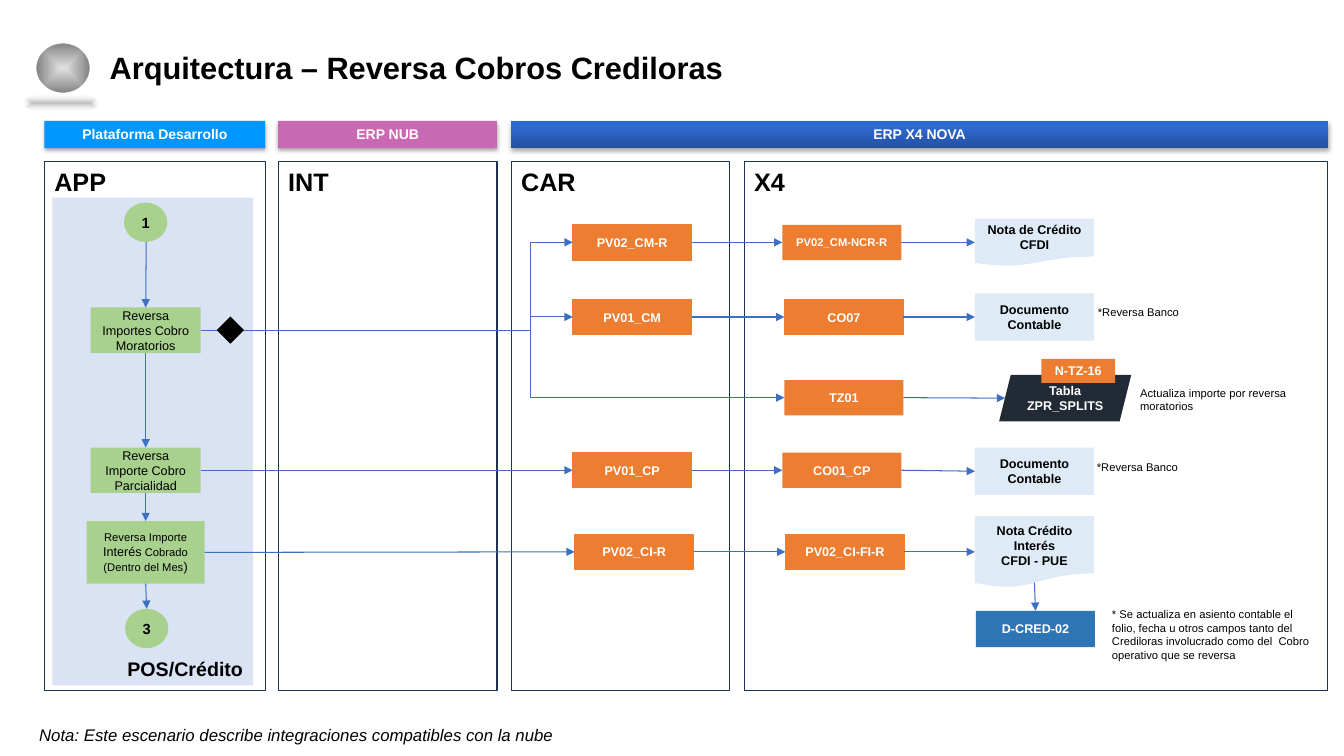
import pptx
import pptx.util
import pptx.oxml
import pptx.oxml.ns
import pptx.dml.color
import pptx.enum.shapes
import pptx.enum.text

Inches = pptx.util.Inches
Pt = pptx.util.Pt
Kind = pptx.enum.shapes.MSO_SHAPE
Link = pptx.enum.shapes.MSO_CONNECTOR
Align = pptx.enum.text.PP_ALIGN
Anchor = pptx.enum.text.MSO_ANCHOR
qn = pptx.oxml.ns.qn
SPACE = 'xmlns:a="http://schemas.openxmlformats.org/drawingml/2006/main"'

BLACK, WHITE, NAVY, BLUE = "000000", "FFFFFF", "1E3256", "3F6FC3"
GREEN, ORANGE, RIM, PALE = "A9D18E", "ED7D31", "ED7D30", "DEEBF7"
RECT, OVAL, DOC = Kind.RECTANGLE, Kind.OVAL, Kind.FLOWCHART_DOCUMENT
MID, LOW = Anchor.MIDDLE, Anchor.BOTTOM
TOP, LEFT, BOTTOM, RIGHT = range(4)

LANES = [("APP", 0.44, 2.19), ("INT", 2.76, 2.17), ("CAR", 5.07, 2.17), ("X4", 7.38, 5.79)]
HEADS = [
    ("Plataforma Desarrollo", 0.44, 2.19, "0096FF"),
    ("ERP NUB", 2.76, 2.17, "CA69B3"),
    ("ERP X4 NOVA", 5.07, 8.1, None),
]
ROWS = {"ncr": 2.41, "bank": 3.15, "split": 3.95, "part": 4.67, "int": 5.48}
TASKS = [
    ("car", "ncr", 5.68, "PV02_CM-R", 9, RIM),
    ("fi", "ncr", 7.76, "PV02_CM-NCR-R", 8, None),
    ("car", "bank", 5.68, "PV01_CM", 9, RIM),
    ("fi", "bank", 7.78, "CO07", 9, RIM),
    ("fi", "split", 7.78, "TZ01", 9, None),
    ("car", "part", 5.68, "PV01_CP", 9, RIM),
    ("fi", "part", 7.76, "CO01_CP", 9, None),
    ("car", "int", 5.7, "PV02_CI-R", 9, RIM),
    ("fi", "int", 7.79, "PV02_CI-FI-R", 9, RIM),
]
STEPS = [
    ("start", OVAL, (1.23, 2.01, 0.43, 0.39), "1", 10.5, True),
    ("late", RECT, (0.9, 3.05, 1.09, 0.45), "Reversa Importes Cobro Moratorios", 9, False),
    ("share", RECT, (0.9, 4.44, 1.09, 0.45), "Reversa Importe Cobro Parcialidad", 9, False),
    ("rate", RECT, (0.86, 5.17, 1.17, 0.62),
     "Reversa Importe |Interés| Cobrado\n(Dentro del Mes|)", 8, False),
    ("end", OVAL, (1.24, 6.04, 0.43, 0.39), "3", 10.5, True),
]
RESULTS = [
    ("out ncr", DOC, (9.67, 2.17, 1.18, 0.47), "Nota de Crédito CFDI", PALE, BLACK, LOW),
    ("out bank", RECT, (9.67, 2.91, 1.18, 0.47), "Documento Contable", PALE, BLACK, MID),
    ("table", Kind.PARALLELOGRAM, (9.91, 3.72, 1.31, 0.46), "Tabla ZPR_SPLITS",
     "222A35", WHITE, MID),
    ("tag", RECT, (10.33, 3.56, 0.73, 0.24), "N-TZ-16", ORANGE, WHITE, MID),
    ("out part", RECT, (9.67, 4.44, 1.18, 0.47), "Documento Contable", PALE, BLACK, MID),
    ("out int", DOC, (9.67, 5.12, 1.18, 0.71), "Nota Crédito Interés\nCFDI - PUE",
     PALE, BLACK, LOW),
    ("cred", RECT, (9.68, 6.06, 1.18, 0.36), "D-CRED-02", "2E75B6", WHITE, MID),
]
NOTES = [
    ((10.79, 2.98, 1.18, 0.24), "*Reversa Banco"),
    ((11.21, 3.78, 1.8, 0.37), "Actualiza importe por reversa moratorios"),
    ((10.78, 4.52, 1.18, 0.24), "*Reversa Banco"),
    ((10.93, 5.98, 2.21, 0.64),
     "* Se actualiza en asiento contable el folio, fecha u otros campos tanto del "
     "Crediloras involucrado como del  Cobro operativo que se reversa"),
]
DOWN = [((1.45, 2.4), "late"), ("late", "share"), ("share", "rate"), ("rate", "end"),
        ((10.26, 5.78), "cred")]
ACROSS = [("share", "car part"), ("rate", "car int"), ("fi split", (9.97, 3.95))]
for row in ("ncr", "bank", "part", "int"):
    ACROSS += [("car " + row, "fi " + row), ("fi " + row, "out " + row)]
FORKS = [("car ncr", 5.68), ("car bank", 5.68), ("fi split", 7.78)]
FORK, TRUNK = (1.99, 3.28), 5.26

deck = pptx.Presentation()
deck.slide_width, deck.slide_height = Inches(13.33), Inches(7.5)
slide = deck.slides.add_slide(deck.slide_layouts[6])
nodes = {}


def color(code):
    return pptx.dml.color.RGBColor.from_string(code)


def write(shape, text, size, ink=BLACK, bold=False, align=Align.LEFT, anchor=Anchor.TOP):
    frame = shape.text_frame
    frame.word_wrap = True
    frame.vertical_anchor = anchor
    frame.text = text.replace("|", "")
    for para, line in zip(frame.paragraphs, text.split("\n")):
        para.alignment = align
        if "|" in line:
            para.clear()
            for part in line.split("|"):
                para.add_run().text = part
        for spot, run in enumerate(para.runs):
            font = run.font
            font.name, font.size, font.bold = "Arial", Pt(size + spot % 2), bold
            font.color.rgb = color(ink)


def draw(kind, box, fill=None, line=None, width=0.75):
    shape = slide.shapes.add_shape(kind, *map(Inches, box))
    shape.shadow.inherit = False
    if fill:
        shape.fill.solid()
        shape.fill.fore_color.rgb = color(fill)
    else:
        shape.fill.background()
    if line:
        shape.line.color.rgb = color(line)
        shape.line.width = Pt(width)
    else:
        shape.line.fill.background()
    return shape


def note(box, text, size, bold=False):
    shape = slide.shapes.add_textbox(*map(Inches, box))
    write(shape, text, size, BLACK, bold)
    return shape


def blend(shape, stops, way):
    marks = "".join(
        f'<a:gs pos="{pos * 1000}"><a:srgbClr val="{code}"><a:alpha val="{alpha * 1000}"/>'
        f'</a:srgbClr></a:gs>' for pos, code, alpha in stops)
    fill = pptx.oxml.parse_xml(f"<a:gradFill {SPACE}><a:gsLst>{marks}</a:gsLst>{way}</a:gradFill>")
    props = shape._element.spPr
    props.replace(props.find(qn("a:noFill")), fill)


def shade(shape):
    glow = pptx.oxml.parse_xml(
        f'<a:outerShdw {SPACE} blurRad="{Pt(3.1)}" dist="{Pt(1.8)}" dir="5400000" rotWithShape="0">'
        '<a:srgbClr val="000000"><a:alpha val="35000"/></a:srgbClr></a:outerShdw>')
    shape._element.spPr.find(qn("a:effectLst")).append(glow)


def join(start, end, out, into, kind=Link.STRAIGHT):
    begin = start if isinstance(start, tuple) else (0, 0)
    stop = end if isinstance(end, tuple) else (1, 1)
    line = slide.shapes.add_connector(kind, *map(Inches, begin + stop))
    if start in nodes:
        line.begin_connect(nodes[start], out)
    if end in nodes:
        line.end_connect(nodes[end], into)
    line.line.color.rgb = color(BLUE)
    line.line.width = Pt(0.75)
    line.line._get_or_add_ln().append(pptx.oxml.parse_xml(f'<a:tailEnd {SPACE} type="triangle"/>'))
    line._element.spPr.append(pptx.oxml.parse_xml(f"<a:effectLst {SPACE}/>"))
    return line


panel = draw(RECT, (0.52, 1.96, 1.99, 4.84), "DAE3F3")
write(panel, "POS/Crédito", 14, BLACK, True, Align.RIGHT, LOW)

CORE = '<a:path path="rect"><a:fillToRect l="50000" t="50000" r="50000" b="50000"/></a:path>'
ball = draw(OVAL, (0.35, 0.42, 0.55, 0.51), None, WHITE, 1.5)
blend(ball, [(0, "E0E0E0", 100), (100, "808080", 100)], CORE)
base = draw(OVAL, (0.22, 0.93, 0.77, 0.19))
blend(base, [(0, "808080", 50), (100, "FFFFFF", 0)], CORE)

title = note((0.99, 0.48, 11.13, 0.43), "Arquitectura – Reversa Cobros Crediloras", 22, True)
title.text_frame.paragraphs[0].line_spacing = 0.9
foot = note((0.29, 7.14, 5.74, 0.3),
            "Nota: Este escenario describe integraciones compatibles con la nube", 12)
foot.text_frame.paragraphs[0].runs[0].font.italic = True

for name, left, width in LANES:
    write(draw(RECT, (left, 1.6, width, 5.25), None, NAVY), name, 18, BLACK, True)
for name, left, width, fill in HEADS:
    head = draw(RECT, (left, 1.2, width, 0.27), fill)
    if not fill:
        blend(head, [(0, "2451A1", 100), (80, "2F69D1", 100), (100, "2C69D5", 100)],
              '<a:lin ang="16200000" scaled="0"/>')
    shade(head)
    write(head, name, 10, WHITE, True, Align.CENTER)

for name, kind, box, text, size, bold in STEPS:
    nodes[name] = draw(kind, box, GREEN)
    write(nodes[name], text, size, BLACK, bold, Align.CENTER, MID)
for lane, row, left, text, size, rim in TASKS:
    task = draw(RECT, (left, ROWS[row] - 0.18, 1.18, 0.35), ORANGE, rim)
    write(task, text, size, WHITE, True, Align.CENTER, MID)
    nodes[f"{lane} {row}"] = task
for name, kind, box, text, fill, ink, anchor in RESULTS:
    nodes[name] = draw(kind, box, fill)
    write(nodes[name], text, 9, ink, True, Align.CENTER, anchor)
for box, text in NOTES:
    note(box, text, 8)

for start, end in DOWN:
    join(start, end, BOTTOM, TOP)
for start, end in ACROSS:
    join(start, end, RIGHT, LEFT)
for end, left in FORKS:
    elbow = join("late", end, RIGHT, LEFT, Link.ELBOW)
    bend = round((TRUNK - FORK[0]) / (left - FORK[0]) * 100000)
    shape = elbow._element.spPr.find(qn("a:prstGeom"))
    shape.find(qn("a:avLst")).append(
        pptx.oxml.parse_xml(f'<a:gd {SPACE} name="adj1" fmla="val {bend}"/>'))
draw(Kind.DIAMOND, (2.15, 3.14, 0.27, 0.27), BLACK)

deck.save("out.pptx")
